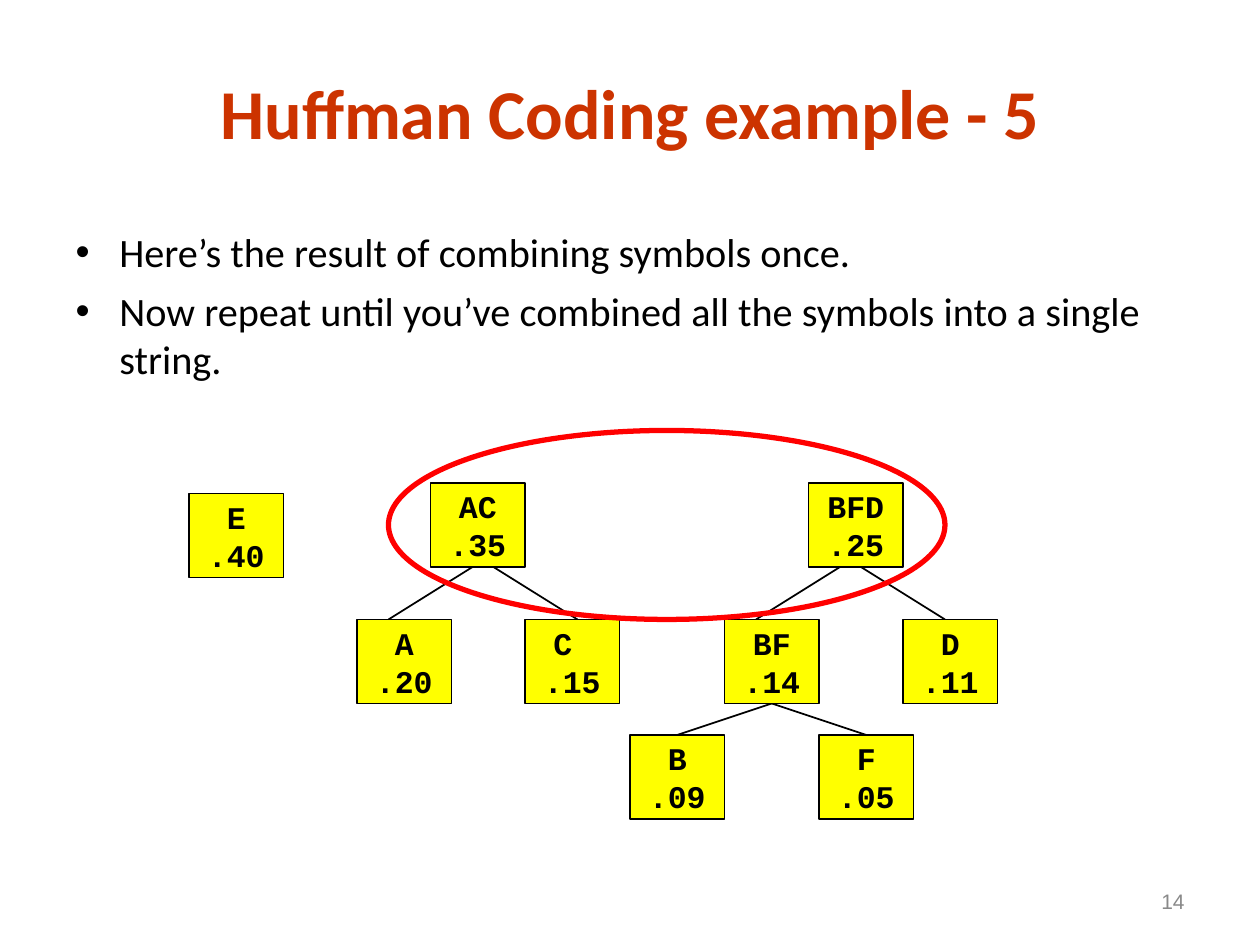
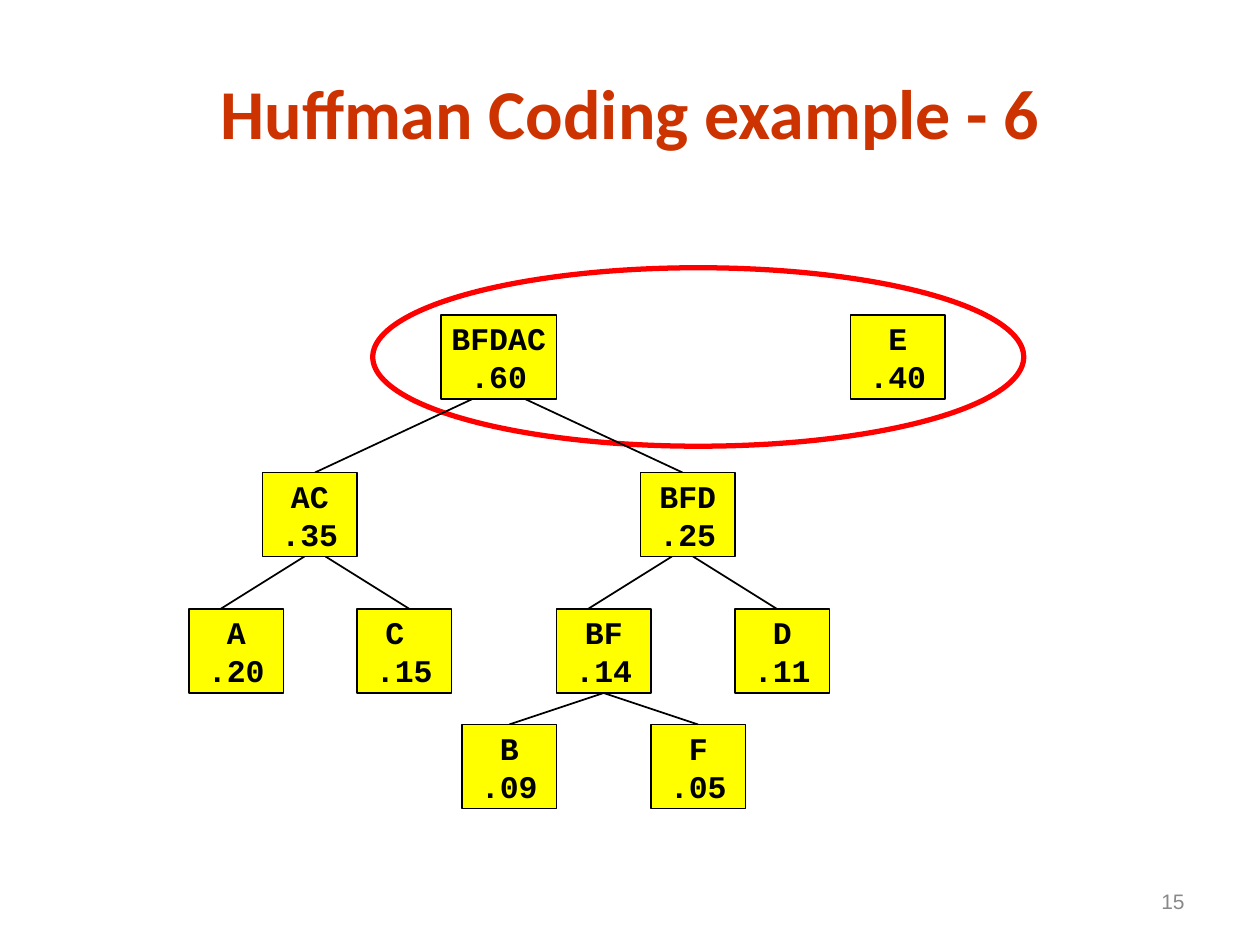
from lxml.etree import SubElement
from pptx import Presentation
from pptx.dml.color import RGBColor
from pptx.enum.shapes import MSO_CONNECTOR, MSO_SHAPE
from pptx.enum.text import MSO_ANCHOR, MSO_AUTO_SIZE, PP_ALIGN
from pptx.oxml.ns import qn
from pptx.util import Pt

COLOURS = {"title": "CC3300", "ink": "000000", "node": "FFFF00",
           "highlight": "FF0000", "page": "898989"}
TITLE_ONLY, TITLE_AND_BODY = 5, 1
NODE_W, NODE_H = 54, 48

# Nodes (symbols, frequency, x, y) and branches (x1, y1, x2, y2),
# measured from the top left corner of each tree's root
E_TREE = {"nodes": [("E", ".40", 0, 0)], "branches": []}
AC_TREE = {
    "nodes": [("AC", ".35", 0, 0), ("A", ".20", -42, 78), ("C ", ".15", 54, 78)],
    "branches": [(24, 48, -24, 78), (36, 48, 84, 78)],
}
BFD_TREE = {
    "nodes": [("BFD", ".25", 0, 0), ("BF", ".14", -48, 78), ("D", ".11", 54, 78),
              ("B", ".09", -102, 144), ("F", ".05", 6, 144)],
    "branches": [(18, 48, -30, 78), (30, 48, 78, 78),
                 (-21, 126, -75, 144), (-21, 126, 33, 144)],
}


def colour(name):
    return RGBColor.from_string(COLOURS[name])


def place(shape, left, top, width, height):
    shape.left, shape.top = Pt(left), Pt(top)
    shape.width, shape.height = Pt(width), Pt(height)


def write(paragraph, text, font, size, ink, bold=False, align=None):
    paragraph.alignment = align
    run = paragraph.add_run()
    run.text = text
    run.font.name, run.font.size, run.font.bold = font, Pt(size), bold
    run.font.color.rgb = colour(ink)


def add_slide(deck, layout, title, page):
    slide = deck.slides.add_slide(deck.slide_layouts[layout])

    # Title
    heading = slide.shapes.title
    place(heading, 54, 36, 612, 55.5)
    heading.text_frame.vertical_anchor = MSO_ANCHOR.MIDDLE
    heading.text_frame.auto_size = MSO_AUTO_SIZE.NONE
    write(heading.text_frame.paragraphs[0], title, "Calibri", 40, "title",
          True, PP_ALIGN.CENTER)

    # Page number
    footer = slide.shapes.add_textbox(Pt(516), Pt(500.5), Pt(168), Pt(28.75)).text_frame
    footer.word_wrap = True
    footer.vertical_anchor = MSO_ANCHOR.MIDDLE
    write(footer.paragraphs[0], str(page), "Arial", 12, "page", align=PP_ALIGN.RIGHT)
    return slide


def fill_body(slide, points):
    body = slide.placeholders[1]
    place(body, 36, 102, 648, 120)
    frame = body.text_frame
    frame.auto_size = MSO_AUTO_SIZE.NONE
    frame.margin_top = Pt(28)
    for index, point in enumerate(points):
        paragraph = frame.add_paragraph() if index else frame.paragraphs[0]
        paragraph.space_before = Pt(5.8 if index else 0)
        write(paragraph, point, "Calibri", 23, "ink")
        properties = paragraph._p.get_or_add_pPr()
        properties.set("marL", str(Pt(25)))
        properties.set("indent", str(-Pt(25)))


def add_node(shapes, symbols, frequency, left, top, width=NODE_W):
    node = shapes.add_shape(MSO_SHAPE.RECTANGLE, Pt(left), Pt(top), Pt(width), Pt(NODE_H))
    node.shadow.inherit = False
    node.fill.solid()
    node.fill.fore_color.rgb = colour("node")
    node.line.color.rgb = colour("ink")
    node.line.width = Pt(1)
    frame = node.text_frame
    frame.word_wrap = False
    frame.vertical_anchor = MSO_ANCHOR.MIDDLE
    for paragraph, text in ((frame.paragraphs[0], symbols),
                            (frame.add_paragraph(), frequency)):
        write(paragraph, text, "Courier New", 18, "ink", True, PP_ALIGN.CENTER)


def add_branch(shapes, x1, y1, x2, y2):
    branch = shapes.add_connector(MSO_CONNECTOR.STRAIGHT, Pt(x1), Pt(y1), Pt(x2), Pt(y2))
    branch.line.color.rgb = colour("ink")
    branch.line.width = Pt(1)
    SubElement(branch._element.spPr, qn("a:effectLst"))


def add_tree(shapes, tree, left, top):
    for x1, y1, x2, y2 in tree["branches"]:
        add_branch(shapes, left + x1, top + y1, left + x2, top + y2)
    for symbols, frequency, x, y in tree["nodes"]:
        add_node(shapes, symbols, frequency, left + x, top + y)


def add_highlight(slide, left, top, width, height):
    ring = slide.shapes.add_shape(MSO_SHAPE.OVAL, Pt(left), Pt(top), Pt(width), Pt(height))
    ring.shadow.inherit = False
    ring.fill.background()
    ring.line.color.rgb = colour("highlight")
    ring.line.width = Pt(3)


def main():
    deck = Presentation()
    deck.slide_width, deck.slide_height = Pt(720), Pt(540)

    # Three trees remain, the two lightest are marked
    three_trees = add_slide(deck, TITLE_AND_BODY, "Huffman Coding example - 5", 14)
    fill_body(three_trees, [
        "Here’s the result of combining symbols once.",
        "Now repeat until you’ve combined all the symbols into a single string.",
    ])
    add_tree(three_trees.shapes, E_TREE, 108, 282)
    add_tree(three_trees.shapes.add_group_shape().shapes, BFD_TREE, 462, 276)
    add_tree(three_trees.shapes.add_group_shape().shapes, AC_TREE, 246, 276)
    add_highlight(three_trees, 222, 246, 318, 108)

    # AC and BFD are joined, two trees remain
    two_trees = add_slide(deck, TITLE_ONLY, "Huffman Coding example - 6", 15)
    add_tree(two_trees.shapes, E_TREE, 486, 180)
    add_highlight(two_trees, 213, 153, 372, 102)
    joined = two_trees.shapes.add_group_shape().shapes
    add_node(joined, "BFDAC", ".60", 252, 180, 66)
    add_branch(joined, 270, 228, 180, 270)
    add_branch(joined, 300, 228, 390, 270)
    add_tree(joined, BFD_TREE, 366, 270)
    add_tree(joined, AC_TREE, 150, 270)

    deck.save("out.pptx")


if __name__ == "__main__":
    main()
